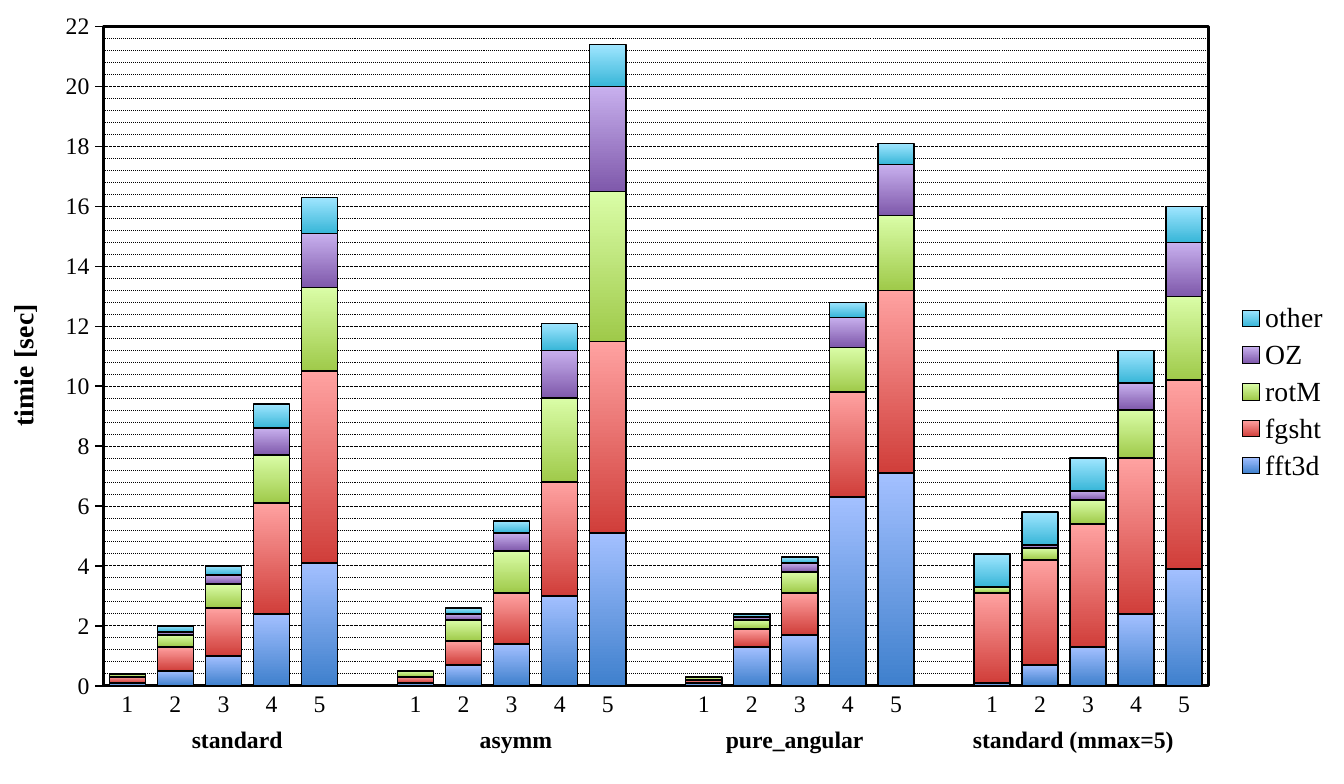
from dataclasses import dataclass

from lxml.etree import fromstring
from pptx import Presentation
from pptx.chart.data import CategoryChartData
from pptx.dml.color import RGBColor
from pptx.enum.chart import XL_CHART_TYPE, XL_LEGEND_POSITION, XL_TICK_MARK
from pptx.enum.dml import MSO_LINE
from pptx.enum.shapes import MSO_SHAPE
from pptx.enum.text import MSO_ANCHOR, PP_ALIGN
from pptx.util import Inches, Pt


@dataclass(frozen=True)
class Theme:
    """Colours, font and type sizes of the slide."""
    font: str = "Times New Roman"
    ink: RGBColor = RGBColor(0, 0, 0)
    paper: RGBColor = RGBColor(255, 255, 255)
    base: int = 11
    label: int = 12
    heading: int = 14
    hairline: float = 0.5
    outline: float = 0.75
    frame: float = 1.5


THEME = Theme()
WIDTH, HEIGHT = Inches(9.45), Inches(5.51)
PLOT = {"x": 0.077, "y": 0.034, "w": 0.822, "h": 0.841}
LABEL_LEFT, LABEL_TOP, LABEL_WIDTH, LABEL_HEIGHT = 0.076, 0.935, 0.201, 0.02
LABEL_STEP = 0.2074
GROUPS = ["standard", "asymm", "pure_angular", "standard (mmax=5)"]
RUNS = ["1", "2", "3", "4", "5"]
SERIES = {
    "fft3d": ("A3C0FF", "3F80CD", [
        [0.1, 0.5, 1, 2.4, 4.1], [0.1, 0.7, 1.4, 3, 5.1],
        [0.1, 1.3, 1.7, 6.3, 7.1], [0.1, 0.7, 1.3, 2.4, 3.9]]),
    "fgsht": ("FFA2A1", "D03E3A", [
        [0.2, 0.8, 1.6, 3.7, 6.4], [0.2, 0.8, 1.7, 3.8, 6.4],
        [0.1, 0.6, 1.4, 3.5, 6.1], [3, 3.5, 4.1, 5.2, 6.3]]),
    "rotM": ("DAFDA7", "9FCA4A", [
        [0.1, 0.4, 0.8, 1.6, 2.8], [0.2, 0.7, 1.4, 2.8, 5],
        [0.1, 0.3, 0.7, 1.5, 2.5], [0.2, 0.4, 0.8, 1.6, 2.8]]),
    "OZ": ("C8B0EE", "7F59AB", [
        [0, 0.1, 0.3, 0.9, 1.8], [0, 0.2, 0.6, 1.6, 3.5],
        [0, 0.1, 0.3, 1, 1.7], [0, 0.1, 0.3, 0.9, 1.8]]),
    "other": ("A0E6FF", "38B6D8", [
        [0, 0.2, 0.3, 0.8, 1.2], [0, 0.2, 0.4, 0.9, 1.4],
        [0, 0.1, 0.2, 0.5, 0.7], [1.1, 1.1, 1.1, 1.1, 1.2]]),
}
CHART_NS = "http://schemas.openxmlformats.org/drawingml/2006/chart"
DRAWING_NS = "http://schemas.openxmlformats.org/drawingml/2006/main"


def assign(target, values):
    """Set each attribute of target from a dict."""
    for name, value in values.items():
        setattr(target, name, value)


def style_font(font, size, bold=False):
    """Give a font the theme's face and colour."""
    assign(font, {"name": THEME.font, "size": Pt(size), "bold": bold})
    font.color.rgb = THEME.ink


def style_line(line, width, color=THEME.ink, dash=None):
    """Give a line its colour, width and dash."""
    line.color.rgb = color
    line.width = Pt(width)
    if dash:
        line.dash_style = dash


def with_gaps(groups, gap):
    """Join groups into one list with a gap between neighbours."""
    joined = list(groups[0])
    for group in groups[1:]:
        joined += [gap, *group]
    return joined


def timing_data():
    """Collect the timings of every routine."""
    data = CategoryChartData(number_format="General")
    data.categories = with_gaps([RUNS] * len(GROUPS), "")
    for name, (_, _, groups) in SERIES.items():
        data.add_series(name, with_gaps(groups, None))
    return data


def outline_properties(width, dash="solid"):
    """Return unfilled chart shape properties with an ink outline."""
    return fromstring(
        f'<c:spPr xmlns:c="{CHART_NS}" xmlns:a="{DRAWING_NS}"><a:noFill/>'
        f'<a:ln w="{int(Pt(width))}"><a:solidFill><a:srgbClr val="{THEME.ink}"/>'
        f'</a:solidFill><a:prstDash val="{dash}"/></a:ln></c:spPr>')


def frame_plot(chart):
    """Place the inner plot area and draw its border and minor grid."""
    plot_area = chart.element.find(f".//{{{CHART_NS}}}plotArea")
    for old in plot_area.findall(f"{{{CHART_NS}}}layout"):
        plot_area.remove(old)
    places = "".join(f'<c:{key} val="{share}"/>' for key, share in PLOT.items())
    plot_area.insert(0, fromstring(
        f'<c:layout xmlns:c="{CHART_NS}"><c:manualLayout>'
        '<c:layoutTarget val="inner"/><c:xMode val="edge"/><c:yMode val="edge"/>'
        f'{places}</c:manualLayout></c:layout>'))
    plot_area.append(outline_properties(THEME.frame))
    minor_grid = plot_area.find(f".//{{{CHART_NS}}}minorGridlines")
    minor_grid.append(outline_properties(THEME.hairline, "sysDot"))


def style_axes(chart):
    """Format both axes, the major grid and the value title."""
    category, value = chart.category_axis, chart.value_axis
    for axis in (category, value):
        style_font(axis.tick_labels.font, THEME.label)
        style_line(axis.format.line, THEME.outline)
        axis.minor_tick_mark = XL_TICK_MARK.NONE
    category.major_tick_mark = XL_TICK_MARK.NONE
    assign(value, {
        "minimum_scale": 0, "maximum_scale": 22, "major_unit": 2,
        "minor_unit": 0.4, "major_tick_mark": XL_TICK_MARK.OUTSIDE,
        "has_major_gridlines": True, "has_minor_gridlines": True})
    style_line(value.major_gridlines.format.line, THEME.hairline,
               dash=MSO_LINE.SQUARE_DOT)
    frame = value.axis_title.text_frame
    frame.text = "timie [sec]"
    style_font(frame.paragraphs[0].runs[0].font, THEME.heading, bold=True)


def style_series(plot):
    """Shade each stack from a light top to a dark foot."""
    assign(plot, {"gap_width": 33, "overlap": 100, "vary_by_categories": False})
    for series in plot.series:
        fill = series.format.fill
        fill.gradient()
        fill.gradient_angle = 270
        for stop, shade in zip(fill.gradient_stops, SERIES[series.name]):
            stop.color.rgb = RGBColor.from_string(shade)
        style_line(series.format.line, THEME.outline)


def add_timing_chart(page):
    """Add the stacked timing chart over the whole slide."""
    chart = page.shapes.add_chart(XL_CHART_TYPE.COLUMN_STACKED, 0, 0,
                                  WIDTH, HEIGHT, timing_data()).chart
    style_font(chart.font, THEME.base)
    assign(chart, {"has_title": False, "has_legend": True})
    assign(chart.legend, {"position": XL_LEGEND_POSITION.RIGHT,
                          "include_in_layout": False})
    style_font(chart.legend.font, THEME.heading)
    style_axes(chart)
    style_series(chart.plots[0])
    frame_plot(chart)


def add_group_label(page, column, text):
    """Name one group of columns below the axis."""
    box = page.shapes.add_shape(
        MSO_SHAPE.RECTANGLE,
        int(WIDTH * (LABEL_LEFT + column * LABEL_STEP)), int(HEIGHT * LABEL_TOP),
        int(WIDTH * LABEL_WIDTH), int(HEIGHT * LABEL_HEIGHT))
    box.shadow.inherit = False
    box.fill.solid()
    box.fill.fore_color.rgb = THEME.paper
    style_line(box.line, 2, THEME.paper)
    inset = Inches(0.05)
    assign(box.text_frame, {
        "word_wrap": True, "vertical_anchor": MSO_ANCHOR.MIDDLE,
        "margin_left": inset, "margin_right": inset,
        "margin_top": inset, "margin_bottom": inset})
    para = box.text_frame.paragraphs[0]
    assign(para, {"alignment": PP_ALIGN.CENTER, "line_spacing": 0.9})
    span = para.add_run()
    span.text = text
    style_font(span.font, THEME.label, bold=True)


def main():
    """Build and save the slide."""
    deck = Presentation()
    assign(deck, {"slide_width": WIDTH, "slide_height": HEIGHT})
    page = deck.slides.add_slide(deck.slide_layouts[6])
    add_timing_chart(page)
    for column, text in enumerate(GROUPS):
        add_group_label(page, column, text)
    deck.save("out.pptx")


if __name__ == "__main__":
    main()
